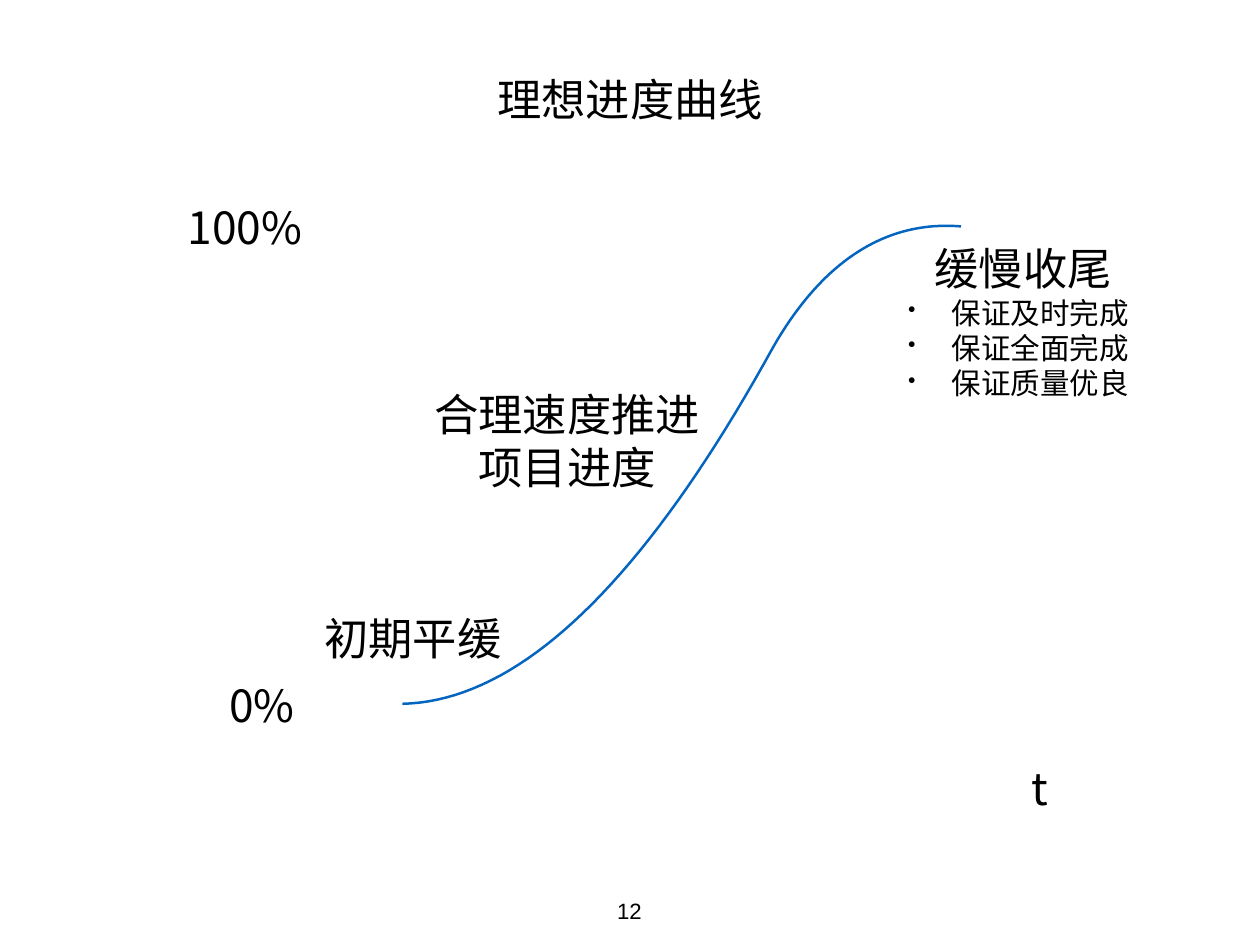
"""Build the ideal progress curve slide."""
from lxml.etree import SubElement
from pptx import Presentation
from pptx.dml.color import RGBColor
from pptx.enum.text import MSO_ANCHOR as ANCHOR, MSO_AUTO_SIZE as AUTO, PP_ALIGN as ALIGN
from pptx.oxml.ns import qn
from pptx.util import Pt


def rgb(value):
    return RGBColor.from_string(value)


def add_bullet(p, indent=35.3):
    pPr = p._p.get_or_add_pPr()
    pPr.set("marL", str(Pt(indent)))
    pPr.set("indent", str(-Pt(indent)))
    SubElement(pPr, qn("a:buSzPct")).set("val", "75000")
    SubElement(pPr, qn("a:buChar")).set("char", "•")


def write(p, text, size=36, font="Noto Sans CJK SC", color="000000", bullet=False):
    p.alignment = ALIGN.LEFT if bullet else ALIGN.CENTER
    if bullet:
        add_bullet(p)
    r = p.add_run()
    r.text = text
    r.font.size = Pt(size)
    r.font.color.rgb = rgb(color)
    r.font.name = font
    SubElement(r._r.get_or_add_rPr(), qn("a:ea")).set("typeface", font)


def bezier(a, b, c, d, steps=40):
    for i in range(steps + 1):
        t = i / steps
        u = 1 - t
        yield tuple(Pt(u**3 * m + 3 * u * u * t * n + 3 * u * t * t * o + t**3 * q)
                    for m, n, o, q in zip(a, b, c, d))


class ProgressSlide:
    line_color = "0365C0"
    line_width = 2

    def __init__(self, prs):
        self.s = prs.slides.add_slide(prs.slide_layouts[6])
        self.s.background.fill.solid()
        self.s.background.fill.fore_color.rgb = rgb("FFFFFF")

    def text(self, x, y, w, h, *lines, bullets=(), inset=4, anchor=ANCHOR.MIDDLE, **fmt):
        tf = self.s.shapes.add_textbox(Pt(x), Pt(y), Pt(w), Pt(h)).text_frame
        tf.word_wrap = False
        tf.auto_size = AUTO.SHAPE_TO_FIT_TEXT
        tf.vertical_anchor = anchor
        tf.margin_left = tf.margin_right = tf.margin_top = tf.margin_bottom = Pt(inset)
        for i, line in enumerate(lines):
            write(tf.add_paragraph() if i else tf.paragraphs[0], line, **fmt)
        for line in bullets:
            write(tf.add_paragraph(), line, size=24, bullet=True)

    def curve(self, *controls):
        start, *points = bezier(*controls)
        builder = self.s.shapes.build_freeform(*start)
        builder.add_line_segments(points, close=False)
        sp = builder.convert_to_shape()
        sp.shadow.inherit = False
        sp.fill.background()
        sp.line.color.rgb = rgb(self.line_color)
        sp.line.width = Pt(self.line_width)


def main():
    prs = Presentation()
    prs.slide_width, prs.slide_height = Pt(1024), Pt(768)
    slide = ProgressSlide(prs)
    slide.text(399, 54, 226, 52, "理想进度曲线")
    slide.curve((327, 572), (422, 570), (523, 474), (629, 281))
    slide.curve((629, 281), (669, 212), (720, 179), (781, 184))
    slide.text(834, 614, 22, 52, "t")
    slide.text(182, 547, 62, 52, "0%")
    slide.text(147, 158, 104, 52, "100%")
    slide.text(259, 492, 153, 52, "初期平缓")
    slide.text(348, 310, 226, 95, "合理速度推进", "项目进度")
    slide.text(734, 192, 195, 138, "缓慢收尾",
               bullets=("保证及时完成", "保证全面完成", "保证质量优良"))
    slide.text(497, 729, 29, 30, "12", inset=0, anchor=ANCHOR.TOP, size=18, font="Arial")
    prs.save("out.pptx")


if __name__ == "__main__":
    main()
